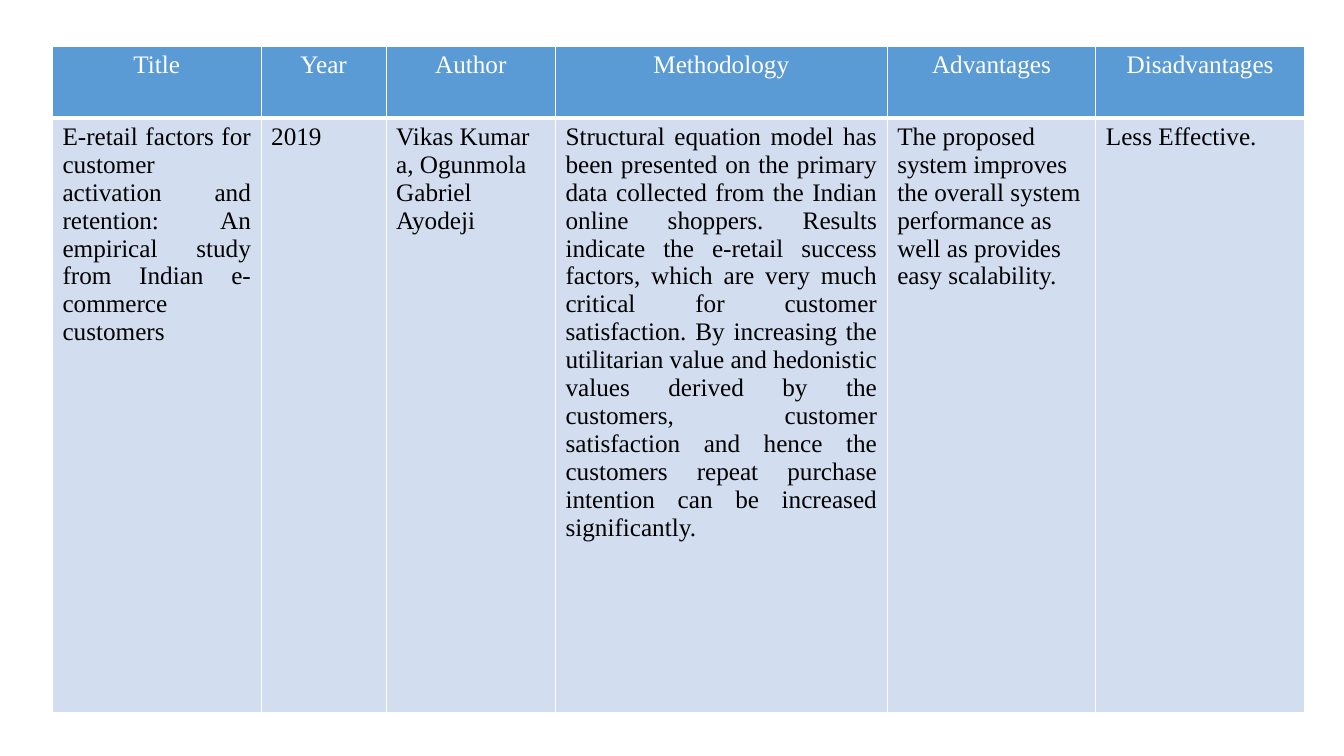
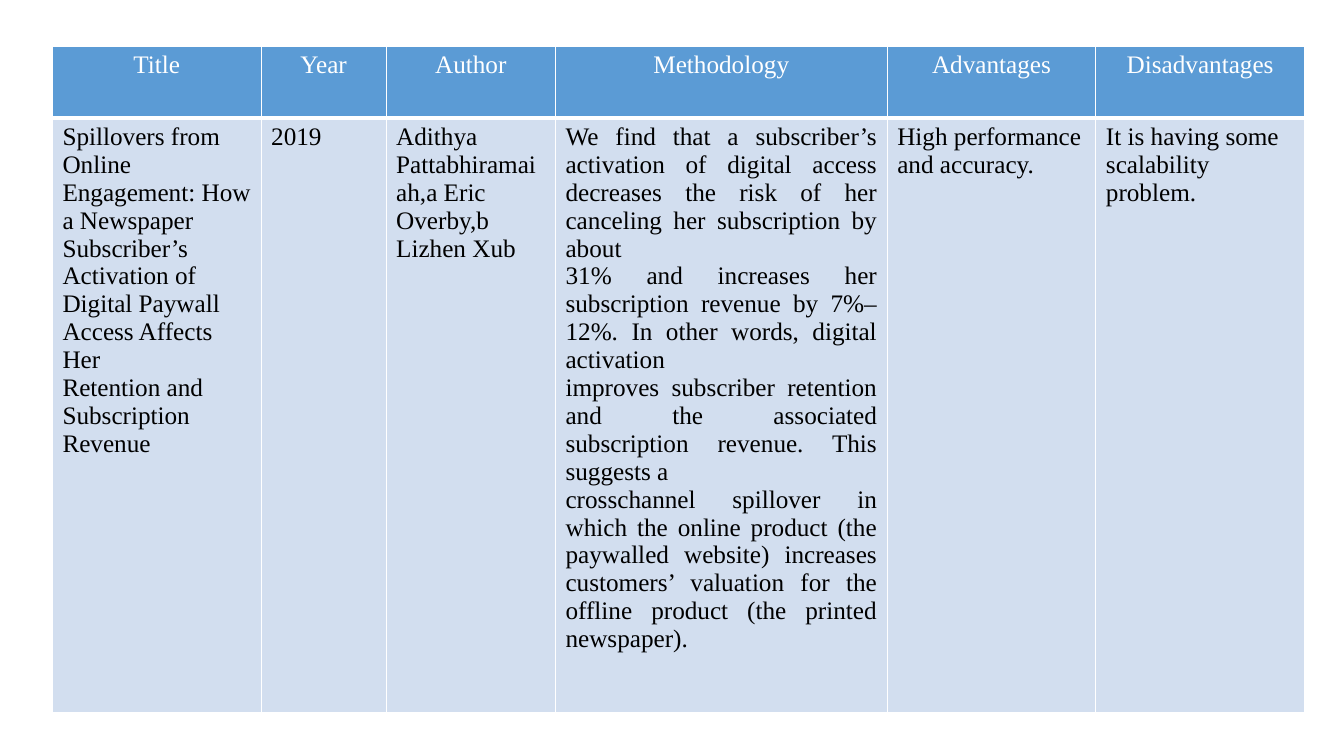
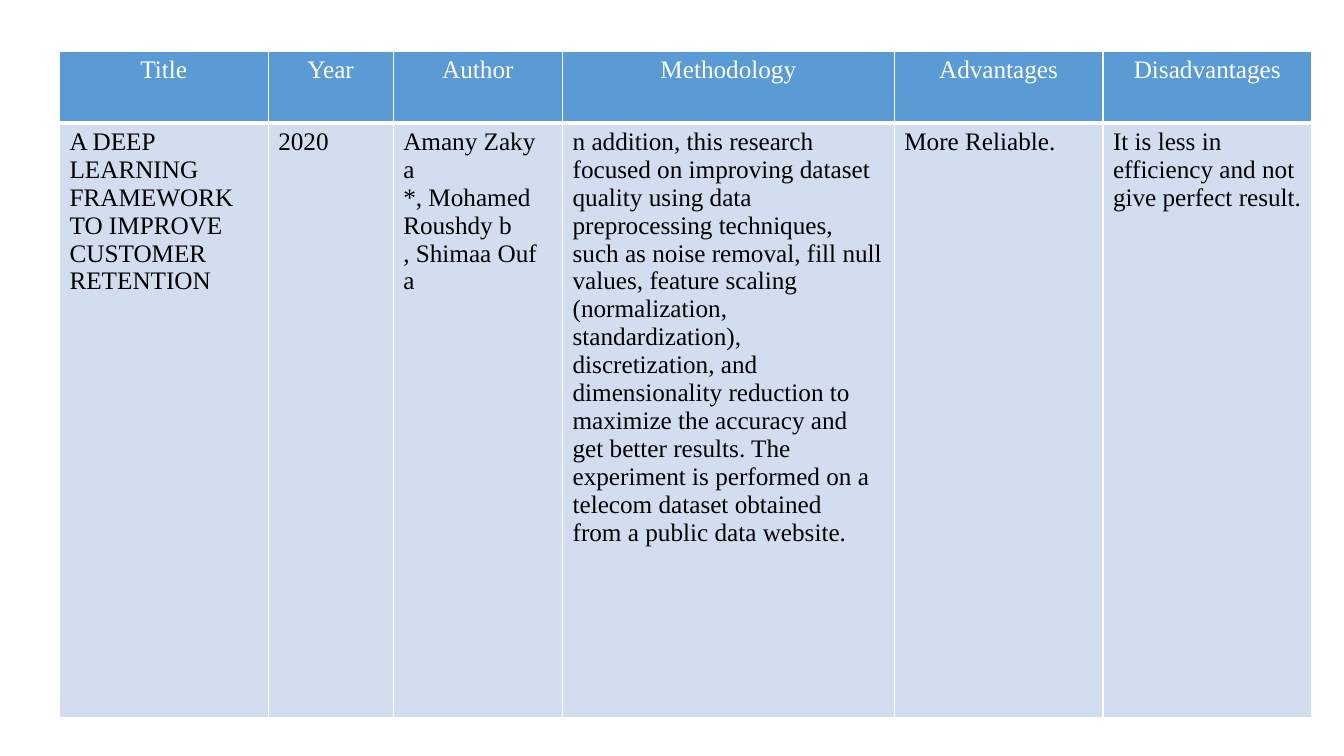
from dataclasses import dataclass

import pptx
import pptx.dml.color
import pptx.enum.text
import pptx.oxml
import pptx.oxml.ns
import pptx.util

Inches = pptx.util.Inches
Pt = pptx.util.Pt
Align = pptx.enum.text.PP_ALIGN

# Shared style
COLORS = {"header": "5B9BD5", "body": "D2DEEF", "border": "FFFFFF",
          "header_text": "FFFFFF", "body_text": "000000"}
FONT_NAME = "Times New Roman"
FONT_SIZE = Pt(18)
HEADINGS = ("Title", "Year", "Author", "Methodology", "Advantages", "Disadvantages")
COLUMN_WIDTHS = (2.07, 1.24, 1.68, 3.29, 2.07, 2.07)
ROW_HEIGHTS = (0.71, 5.9)
THIN, THICK = 1, 3


@dataclass(frozen=True)
class Study:
    """One reviewed paper; line breaks separate paragraphs."""
    title: str
    year: str
    author: str
    methodology: str
    advantages: str
    disadvantages: str
    left: float = 0.52
    top: float = 0.46
    justified: tuple[str, ...] = ()


STUDIES = (
    Study(
        title="E-retail factors for customer activation and retention: "
              "An empirical study from Indian e-commerce customers",
        year="2019",
        author="Vikas Kumar a, Ogunmola Gabriel Ayodeji",
        methodology="Structural equation model has been presented on the primary data "
                    "collected from the Indian online shoppers. Results indicate the "
                    "e-retail success factors, which are very much critical for customer "
                    "satisfaction. By increasing the utilitarian value and hedonistic "
                    "values derived by the customers, customer satisfaction and hence the "
                    "customers repeat purchase intention can be increased significantly.",
        advantages="The proposed system improves the overall system performance as well "
                   "as provides easy scalability.",
        disadvantages="Less Effective.",
        justified=("Title", "Methodology"),
    ),
    Study(
        title="Spillovers from Online Engagement: How a Newspaper\n"
              "Subscriber’s Activation of Digital Paywall Access Affects Her\n"
              "Retention and Subscription Revenue",
        year="2019",
        author="Adithya Pattabhiramaiah,a Eric Overby,b Lizhen Xub",
        methodology="We find that a subscriber’s activation of digital access decreases "
                    "the risk of her canceling her subscription by about\n"
                    "31% and increases her subscription revenue by 7%–12%. In other "
                    "words, digital activation\n"
                    "improves subscriber retention and the associated subscription "
                    "revenue. This suggests a\n"
                    "crosschannel spillover in which the online product (the paywalled "
                    "website) increases customers’ valuation for the offline product "
                    "(the printed newspaper).",
        advantages="High performance and accuracy.",
        disadvantages="It is having some scalability problem.",
        justified=("Methodology",),
    ),
    Study(
        title="A DEEP LEARNING FRAMEWORK TO IMPROVE CUSTOMER\nRETENTION",
        year="2020",
        author="Amany Zaky a\n*, Mohamed Roushdy b\n, Shimaa Ouf a",
        methodology="n addition, this research\n"
                    "focused on improving dataset quality using data preprocessing "
                    "techniques, such as noise removal, fill null\n"
                    "values, feature scaling (normalization, standardization), "
                    "discretization, and dimensionality reduction to\n"
                    "maximize the accuracy and get better results. The experiment is "
                    "performed on a telecom dataset obtained\n"
                    "from a public data website.",
        advantages="More Reliable.",
        disadvantages="It is less in efficiency and not give perfect result.",
        left=0.59,
        top=0.51,
    ),
)


def rgb(name: str) -> pptx.dml.color.RGBColor:
    return pptx.dml.color.RGBColor.from_string(COLORS[name])


def set_borders(cell, top: float, bottom: float) -> None:
    """Outline a cell; the border lines must precede its fill."""
    properties = cell._tc.get_or_add_tcPr()
    widths = {"lnL": THIN, "lnR": THIN, "lnT": top, "lnB": bottom}
    for position, (tag, width) in enumerate(widths.items()):
        line = pptx.oxml.parse_xml(
            f'<a:{tag} {pptx.oxml.ns.nsdecls("a")} w="{Pt(width)}"><a:solidFill>'
            f'<a:srgbClr val="{COLORS["border"]}"/></a:solidFill></a:{tag}>')
        properties.insert(position, line)


def fill_cell(cell, text: str, style: str, alignment: Align) -> None:
    cell.fill.solid()
    cell.fill.fore_color.rgb = rgb(style)
    cell.text = text
    for paragraph in cell.text_frame.paragraphs:
        paragraph.alignment = alignment
        paragraph.font.name = FONT_NAME
        paragraph.font.size = FONT_SIZE
        paragraph.font.bold = False
        paragraph.font.color.rgb = rgb(f"{style}_text")


def add_study_slide(presentation, study: Study) -> None:
    slide = presentation.slides.add_slide(presentation.slide_layouts.get_by_name("Blank"))
    table = slide.shapes.add_table(
        len(ROW_HEIGHTS), len(HEADINGS), Inches(study.left), Inches(study.top),
        Inches(sum(COLUMN_WIDTHS)), Inches(sum(ROW_HEIGHTS))).table
    for row, height in zip(table.rows, ROW_HEIGHTS):
        row.height = Inches(height)

    details = (study.title, study.year, study.author, study.methodology,
               study.advantages, study.disadvantages)
    for index, (heading, detail, width) in enumerate(zip(HEADINGS, details, COLUMN_WIDTHS)):
        table.columns[index].width = Inches(width)
        header, body = table.cell(0, index), table.cell(1, index)
        fill_cell(header, heading, "header", Align.CENTER)
        fill_cell(body, detail, "body",
                  Align.JUSTIFY if heading in study.justified else Align.LEFT)
        set_borders(header, THIN, THICK)
        set_borders(body, THICK, THIN)


def main() -> None:
    presentation = pptx.Presentation()
    presentation.slide_width = Inches(13.33)
    presentation.slide_height = Inches(7.5)
    for study in STUDIES:
        add_study_slide(presentation, study)
    presentation.save("out.pptx")


if __name__ == "__main__":
    main()
